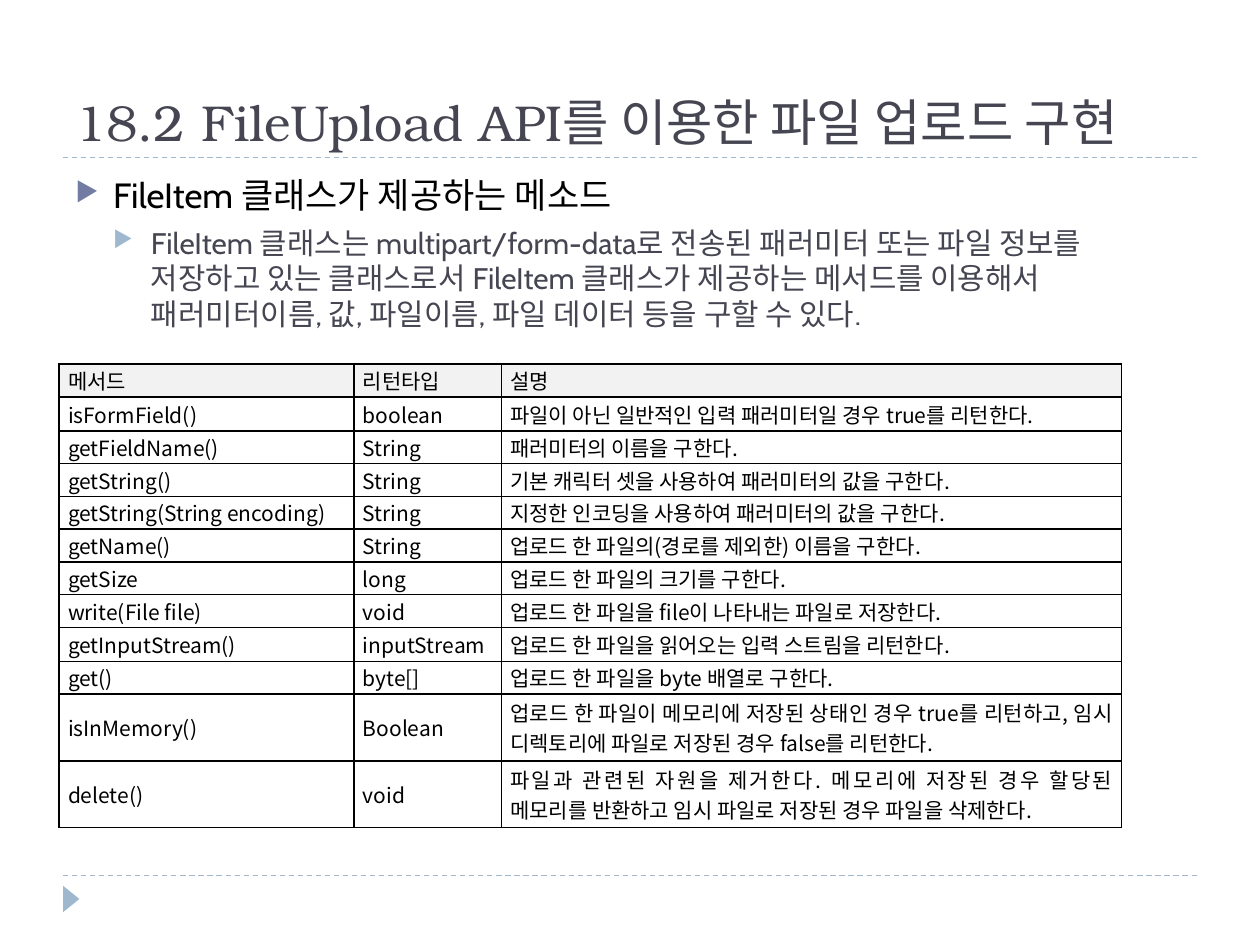
from dataclasses import dataclass

from lxml import etree
from pptx import Presentation
from pptx.dml.color import RGBColor
from pptx.enum import dml, shapes, text
from pptx.oxml import ns
from pptx.util import Inches, Pt

SLATE = RGBColor(0x46, 0x46, 0x53)
BLACK = RGBColor(0, 0, 0)
INDIGO = RGBColor(0x72, 0x7C, 0xA3)
SKY = RGBColor(0x9F, 0xB8, 0xCD)
HEADER_GRAY = RGBColor(0xF2, 0xF2, 0xF2)

TITLE_FONT = "TeX Gyre Bonum"
BODY_FONT = "Cabin"
KOREAN_FONT = "Noto Sans CJK KR"


@dataclass
class Bullet:
    text: str
    level: int
    size: float
    before: float
    color: RGBColor
    marker: RGBColor


@dataclass
class Method:
    name: str
    returns: str
    description: str
    height: float = 0.26


BULLETS = [
    Bullet("FileItem 클래스가 제공하는 메소드", 0, 20, 6, BLACK, INDIGO),
    Bullet("FileItem 클래스는 multipart/form-data로 전송된 패러미터 또는 파일 정보를 "
           "저장하고 있는 클래스로서 FileItem 클래스가 제공하는 메서드를 이용해서 "
           "패러미터이름, 값, 파일이름, 파일 데이터 등을 구할 수 있다.",
           1, 17, 5, SLATE, SKY),
]

METHODS = [
    Method("메서드", "리턴타입", "설명"),
    Method("isFormField()", "boolean",
           "파일이 아닌 일반적인 입력 패러미터일 경우 true를 리턴한다.", 0.27),
    Method("getFieldName()", "String", "패러미터의 이름을 구한다."),
    Method("getString()", "String", "기본 캐릭터 셋을 사용하여 패러미터의 값을 구한다."),
    Method("getString(String encoding)", "String",
           "지정한 인코딩을 사용하여 패러미터의 값을 구한다."),
    Method("getName()", "String", "업로드 한 파일의(경로를 제외한) 이름을 구한다."),
    Method("getSize", "long", "업로드 한 파일의 크기를 구한다."),
    Method("write(File file)", "void", "업로드 한 파일을 file이 나타내는 파일로 저장한다."),
    Method("getInputStream()", "inputStream",
           "업로드 한 파일을 읽어오는 입력 스트림을 리턴한다.", 0.27),
    Method("get()", "byte[]", "업로드 한 파일을 byte 배열로 구한다."),
    Method("isInMemory()", "Boolean",
           "업로드 한 파일이 메모리에 저장된 상태인 경우 true를 리턴하고, "
           "임시 디렉토리에 파일로 저장된 경우 false를 리턴한다.", 0.53),
    Method("delete()", "void",
           "파일과 관련된 자원을 제거한다. 메모리에 저장된 경우 할당된 "
           "메모리를 반환하고 임시 파일로 저장된 경우 파일을 삭제한다.", 0.53),
]
COLUMNS = [2.34, 1.17, 4.92]


def add_xml(parent, tag: str, **attrs: str):
    return etree.SubElement(parent, ns.qn(tag), attrs)


def format_runs(p, size: float, font: str, color: RGBColor) -> None:
    for r in p.runs:
        r.font.size = Pt(size)
        r.font.name = font
        r.font.color.rgb = color
        add_xml(r.font._element, "a:ea", typeface=KOREAN_FONT)


def add_rule(s, y: float) -> None:
    line = s.shapes.add_connector(shapes.MSO_CONNECTOR.STRAIGHT,
                                  Inches(0.5), Inches(y), Inches(9.5), Inches(y))
    line.line.color.rgb = SKY
    line.line.width = Pt(0.75)
    line.line.dash_style = dml.MSO_LINE.DASH
    add_xml(line._element.spPr, "a:effectLst")


def add_marker(s) -> None:
    sp = s.shapes.add_shape(shapes.MSO_SHAPE.ISOSCELES_TRIANGLE,
                            Inches(0.46), Inches(7.07), Inches(0.21), Inches(0.13))
    sp.rotation = 90
    sp.shadow.inherit = False
    sp.fill.solid()
    sp.fill.fore_color.rgb = SKY
    sp.line.fill.background()


def add_text_frame(s, top: float, height: float):
    tf = s.shapes.add_textbox(Inches(0.5), Inches(top), Inches(9), Inches(height)).text_frame
    tf.word_wrap = True
    return tf


def add_title(s, title: str) -> None:
    tf = add_text_frame(s, 0.17, 1.08)
    tf.vertical_anchor = text.MSO_ANCHOR.BOTTOM
    tf.text = title
    format_runs(tf.paragraphs[0], 28.8, TITLE_FONT, SLATE)


def add_bullets(s, bullets: list[Bullet]) -> None:
    tf = add_text_frame(s, 1.33, 5.4)
    for i, b in enumerate(bullets):
        p = tf.add_paragraph() if i else tf.paragraphs[0]
        p.text = b.text
        p.level = b.level
        p.space_before = Pt(b.before)
        format_runs(p, b.size, BODY_FONT, b.color)
        pPr = p._p.get_or_add_pPr()
        pPr.set("marL", str(Inches(0.3 * (b.level + 1))))
        pPr.set("indent", str(Inches(-0.3)))
        add_xml(add_xml(pPr, "a:buClr"), "a:srgbClr", val=str(b.marker))
        add_xml(pPr, "a:buSzPct", val="76000")
        add_xml(pPr, "a:buChar", char="▶")


def add_borders(cell) -> None:
    tcPr = cell._tc.get_or_add_tcPr()
    for side in "LRTB":
        ln = add_xml(tcPr, f"a:ln{side}", w=str(Pt(1)))
        add_xml(add_xml(ln, "a:solidFill"), "a:srgbClr", val=str(BLACK))


def fill_cell(cell, value: str, header: bool) -> None:
    cell.text = value
    cell.vertical_anchor = text.MSO_ANCHOR.MIDDLE
    cell.margin_left = cell.margin_right = Inches(0.07)
    cell.margin_top = cell.margin_bottom = 0
    p = cell.text_frame.paragraphs[0]
    p.alignment = text.PP_ALIGN.JUSTIFY
    format_runs(p, 12, KOREAN_FONT, BLACK)
    add_borders(cell)
    if header:
        cell.fill.solid()
        cell.fill.fore_color.rgb = HEADER_GRAY
    else:
        cell.fill.background()


def add_method_table(s, methods: list[Method]) -> None:
    height = sum(m.height for m in methods)
    table = s.shapes.add_table(len(methods), len(COLUMNS), Inches(0.47), Inches(2.89),
                               Inches(sum(COLUMNS)), Inches(height)).table
    table.horz_banding = False
    for column, width in zip(table.columns, COLUMNS):
        column.width = Inches(width)
    for i, (row, m) in enumerate(zip(table.rows, methods)):
        row.height = Inches(m.height)
        for cell, value in zip(row.cells, (m.name, m.returns, m.description)):
            fill_cell(cell, value, header=i == 0)


def main() -> None:
    prs = Presentation()
    prs.slide_width, prs.slide_height = Inches(10), Inches(7.5)
    s = prs.slides.add_slide(prs.slide_layouts[6])
    for y in (6.95, 1.25):
        add_rule(s, y)
    add_marker(s)
    add_title(s, "18.2 FileUpload API를 이용한 파일 업로드 구현")
    add_bullets(s, BULLETS)
    add_method_table(s, METHODS)
    prs.save("out.pptx")


if __name__ == "__main__":
    main()
